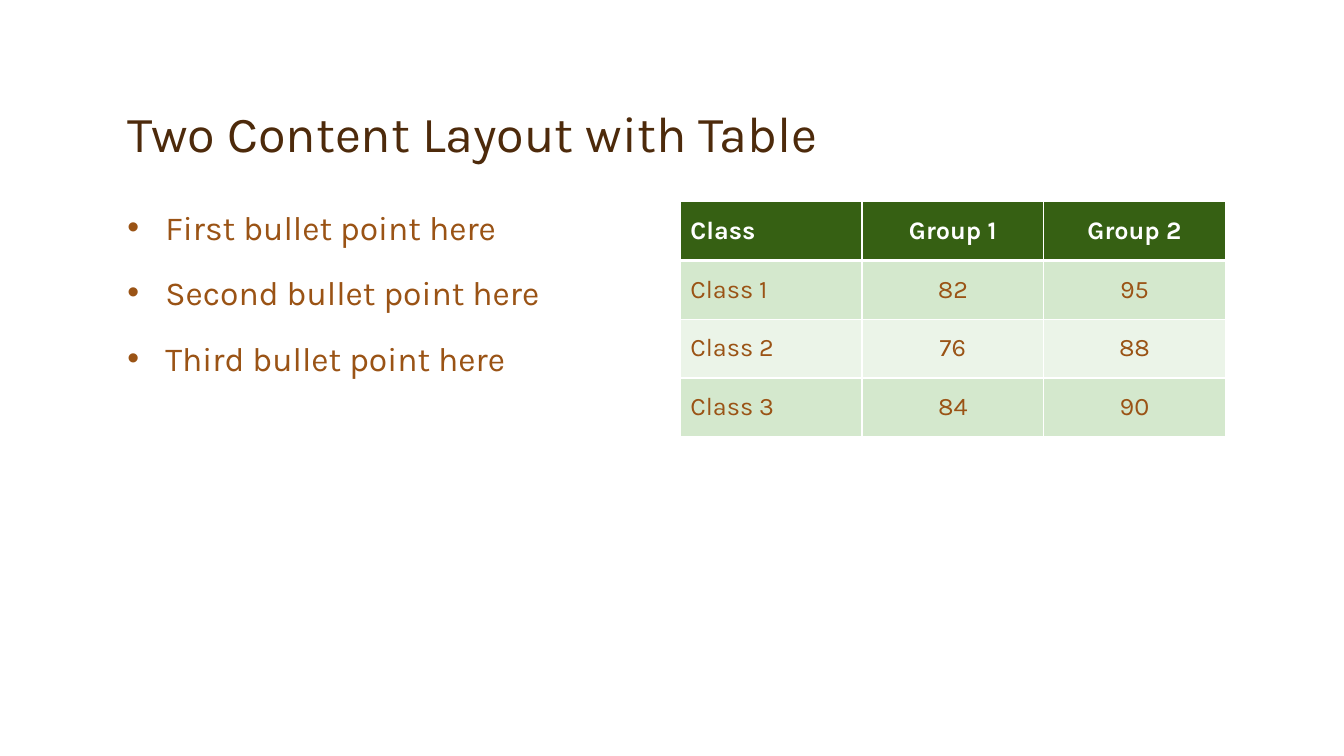
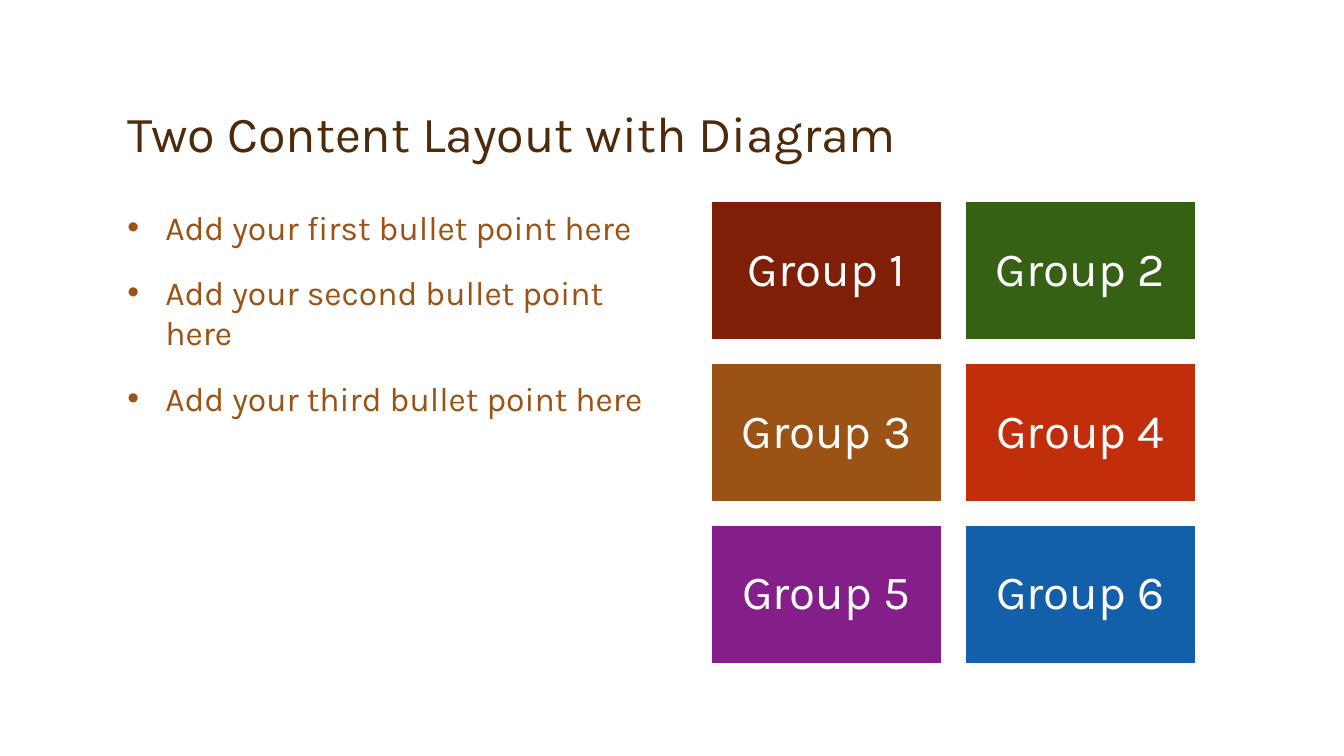
from lxml import etree
from pptx import Presentation
from pptx.dml.color import RGBColor
from pptx.enum.shapes import MSO_SHAPE
from pptx.enum.text import MSO_ANCHOR, PP_ALIGN
from pptx.oxml.ns import qn
from pptx.util import Pt

PX = 9525
RECT = MSO_SHAPE.RECTANGLE
LEFT, CENTER = PP_ALIGN.LEFT, PP_ALIGN.CENTER
TOP, MIDDLE, BOTTOM = MSO_ANCHOR.TOP, MSO_ANCHOR.MIDDLE, MSO_ANCHOR.BOTTOM

WHITE = RGBColor(0xFF, 0xFF, 0xFF)
DARK = RGBColor(0x4D, 0x2A, 0x0B)
BROWN = RGBColor(0x9A, 0x53, 0x15)
GREEN = RGBColor(0x36, 0x60, 0x13)
MINT = RGBColor(0xD4, 0xE8, 0xCD)
PALE = RGBColor(0xEB, 0xF4, 0xE8)
MAROON = RGBColor(0x80, 0x1F, 0x08)
RED = RGBColor(0xC0, 0x2E, 0x0C)
PURPLE = RGBColor(0x84, 0x1E, 0x89)
BLUE = RGBColor(0x14, 0x5F, 0xAA)

MARGIN, BODY_TOP, INDENT = 112, 192, 36
TITLE = {"size": Pt(36), "color": DARK}
BODY = {"size": Pt(24), "color": BROWN}
HEAD = {"size": Pt(18), "color": WHITE, "bold": True}
CELL = {"size": Pt(18), "color": BROWN, "bold": False}
LABEL = {"size": Pt(34), "color": WHITE}
TIGHT = {"line_spacing": 0.9}
MID = {"alignment": CENTER}
ROOMY = {"space_before": Pt(18)}

MARKS = [
    ["Class", "Group 1", "Group 2"],
    ["Class 1", "82", "95"],
    ["Class 2", "76", "88"],
    ["Class 3", "84", "90"],
]
TILES = [MAROON, GREEN, BROWN, RED, PURPLE, BLUE]


def px(*sizes):
    return [size * PX for size in sizes]


def apply(item, values):
    for name, value in values.items():
        setattr(item, name, value)


def write(par, text, font, form):
    run = par.add_run()
    run.text = text
    apply(par, form)
    apply(run.font, {"name": "Karla", "size": font["size"], "bold": font.get("bold")})
    run.font.color.rgb = font["color"]


def add_box(slide, x, y, w, h, anchor):
    frame = slide.shapes.add_textbox(*px(x, y, w, h)).text_frame
    apply(frame, {"word_wrap": True, "vertical_anchor": anchor})
    return frame


def add_title(slide, text):
    frame = add_box(slide, MARGIN, 32, 1056, 128, BOTTOM)
    write(frame.paragraphs[0], text, TITLE, TIGHT)


def add_list(slide, lines):
    frame = add_box(slide, MARGIN, BODY_TOP, 520, 440, TOP)
    for i, line in enumerate(lines):
        par = frame.add_paragraph() if i else frame.paragraphs[0]
        write(par, line, BODY, ROOMY)
        props = par._p.get_or_add_pPr()
        props.set("marL", str(INDENT * PX))
        props.set("indent", str(-INDENT * PX))
        etree.SubElement(props, qn("a:buFont")).set("typeface", "Arial")
        etree.SubElement(props, qn("a:buChar")).set("char", "•")


def add_edge(cell, side, width):
    props = cell._tc.get_or_add_tcPr()
    line = etree.SubElement(props, qn(f"a:ln{side}"), w=str(Pt(width)))
    fill = etree.SubElement(line, qn("a:solidFill"))
    etree.SubElement(fill, qn("a:srgbClr")).set("val", str(WHITE))


def add_grid(slide, rows, x, y, w, h):
    """Add a table whose cells all measure w by h."""
    wide, high = len(rows[0]), len(rows)
    table = slide.shapes.add_table(
        high, wide, *px(x, y, w * wide, h * high)).table
    apply(table, {"first_row": False, "horz_banding": False})
    for col in table.columns:
        col.width = w * PX
    for r, row in enumerate(rows):
        table.rows[r].height = h * PX
        for c, text in enumerate(row):
            cell = table.cell(r, c)
            cell.vertical_anchor = MIDDLE
            write(cell.text_frame.paragraphs[0], text, CELL if r else HEAD,
                  {"alignment": CENTER if c else LEFT})
            edges = {"L": 1, "R": 1, "T": 3 if r == 1 else 1, "B": 1 if r else 3}
            for side, width in edges.items():
                add_edge(cell, side, width)
            cell.fill.solid()
            cell.fill.fore_color.rgb = (MINT if r % 2 else PALE) if r else GREEN


def add_tile(slide, text, color, x, y, w, h):
    tile = slide.shapes.add_shape(RECT, *px(x, y, w, h))
    tile.shadow.inherit = False
    tile.fill.solid()
    tile.fill.fore_color.rgb = color
    tile.line.color.rgb = WHITE
    tile.line.width = Pt(1)
    frame = tile.text_frame
    apply(frame, {"word_wrap": True, "vertical_anchor": MIDDLE})
    apply(frame, {f"margin_{side}": 13 * PX
                  for side in ("left", "top", "right", "bottom")})
    write(frame.paragraphs[0], text, LABEL, TIGHT | MID)


def add_tiles(slide, colors, x, y, w, h, gap):
    """Lay the tiles out in two columns, row by row."""
    for i, color in enumerate(colors):
        row, col = divmod(i, 2)
        add_tile(slide, f"Group {i + 1}", color,
                 x + col * (w + gap), y + row * (h + gap), w, h)


def add_slide(deck, title, lines):
    slide = deck.slides.add_slide(deck.slide_layouts[6])
    add_title(slide, title)
    add_list(slide, lines)
    return slide


def main():
    deck = Presentation()
    deck.slide_width, deck.slide_height = px(1280, 720)

    slide = add_slide(deck, "Two Content Layout with Table", [
        f"{rank} bullet point here" for rank in ("First", "Second", "Third")])
    add_grid(slide, MARKS, 648, BODY_TOP, 173, 56)

    slide = add_slide(deck, "Two Content Layout with Diagram", [
        f"Add your {rank} bullet point here" for rank in ("first", "second", "third")])
    add_tiles(slide, TILES, 677, BODY_TOP, 220, 132, 22)

    deck.save("out.pptx")


if __name__ == "__main__":
    main()
